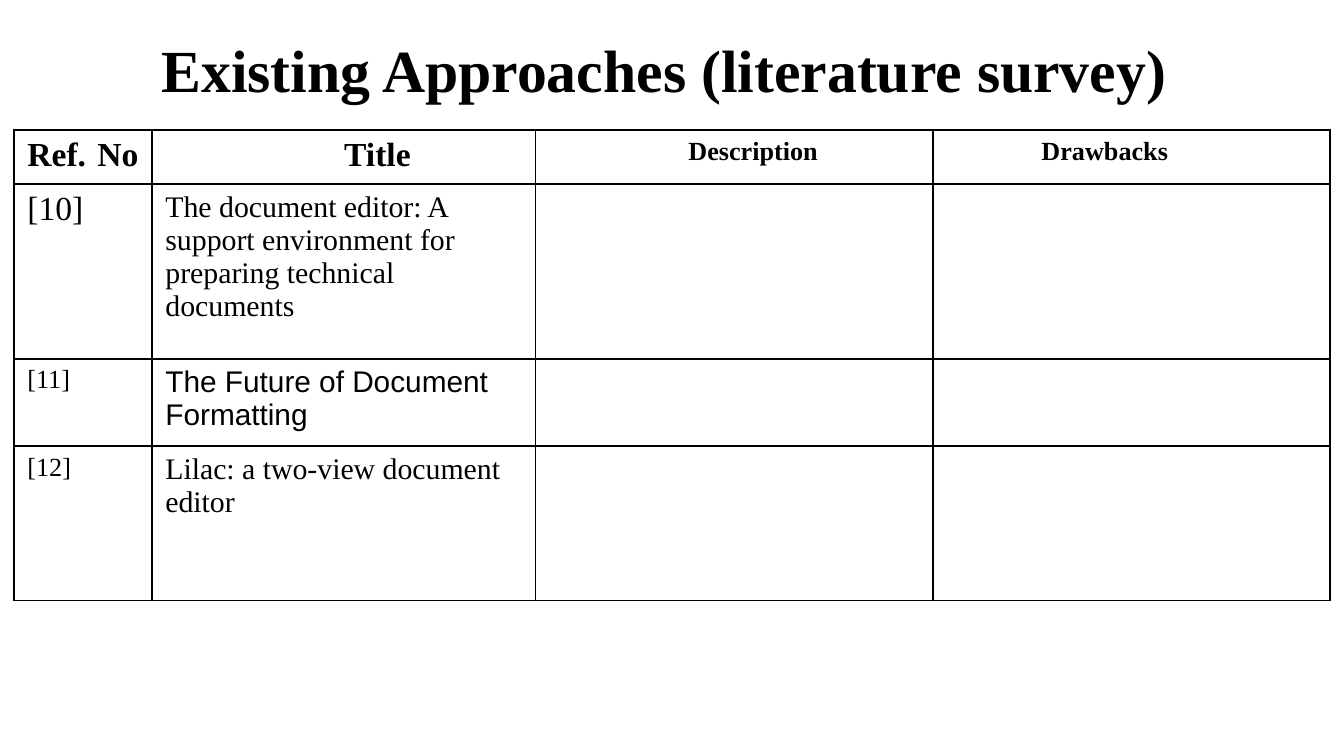
import pptx
import pptx.dml.color
import pptx.enum.text
import pptx.oxml
import pptx.oxml.ns
import pptx.util

ALIGN = pptx.enum.text.PP_ALIGN
ANCHOR = pptx.enum.text.MSO_ANCHOR


def color(value):
    return pptx.dml.color.RGBColor.from_string(value)


def write(frame, text, size=16, font="Times New Roman", bold=False,
          align=ALIGN.LEFT, ink="000000"):
    para = frame.paragraphs[0]
    para.alignment = align
    span = para.add_run()
    span.text = text
    span.font.size = pptx.util.Pt(size)
    span.font.name = font
    span.font.bold = bold
    span.font.color.rgb = color(ink)


class SurveySlide:
    ink = "000000"
    margin = 0.1
    columns = 100

    def __init__(self, deck):
        self.unit = deck.slide_width / self.columns
        self.page = deck.slides.add_slide(deck.slide_layouts[6])

    def span(self, units):
        return round(units * self.unit)

    def title(self, text, *place):
        box = self.page.shapes.add_textbox(*map(self.span, place))
        frame = box.text_frame
        frame.word_wrap = True
        frame.vertical_anchor = ANCHOR.MIDDLE
        frame.margin_top = pptx.util.Inches(self.margin)
        frame.margin_bottom = pptx.util.Inches(self.margin + 0.07)
        write(frame, text, size=32, bold=True, align=ALIGN.CENTER, ink=self.ink)

    def border(self, cell):
        properties = cell._tc.get_or_add_tcPr()
        for side in ("lnL", "lnR", "lnT", "lnB"):
            properties.append(pptx.oxml.parse_xml(
                f'<a:{side} {pptx.oxml.ns.nsdecls("a")} w="12700"><a:solidFill>'
                f'<a:srgbClr val="{self.ink}"/></a:solidFill></a:{side}>'))

    def table(self, rows, widths, heights, left, top):
        place = map(self.span, (left, top, sum(widths), sum(heights)))
        grid = self.page.shapes.add_table(len(rows), len(widths), *place).table
        grid.first_row = grid.horz_banding = False
        for column, width in zip(grid.columns, widths):
            column.width = self.span(width)
        for row, height, entries in zip(grid.rows, heights, rows):
            row.height = self.span(height)
            for cell in row.cells:
                self.border(cell)
                cell.fill.background()
            for cell, entry in zip(row.cells, entries):
                self.fill_cell(cell, **entry)

    def fill_cell(self, cell, text, before=0, after=0, **style):
        cell.margin_left = pptx.util.Inches(self.margin + before)
        cell.margin_right = pptx.util.Inches(self.margin + after)
        write(cell.text_frame, text, ink=self.ink, **style)


def main():
    deck = pptx.Presentation()
    deck.slide_width = pptx.util.Inches(10)
    deck.slide_height = deck.slide_width * 9 // 16
    survey = SurveySlide(deck)
    survey.title("Existing Approaches (literature survey) ", 0, 1.4, 100, 8.1)

    heading = {"bold": True, "align": ALIGN.CENTER}
    rows = [
        [dict(text="Ref. No ", size=18, bold=True, align=ALIGN.JUSTIFY),
         dict(heading, text="Title", size=18, before=0.5),
         dict(heading, text="Description", size=14, before=0.28),
         dict(heading, text="Drawbacks", size=14, after=0.4)],
        [dict(text="[10]", size=18),
         dict(text="The document editor: A support environment for "
                   "preparing technical documents")],
        [dict(text="[11]", size=14),
         dict(text="The Future of Document Formatting", font="Arial")],
        [dict(text="[12]", size=14),
         dict(text="Lilac: a two-view document editor")],
    ]
    survey.table(rows, [10.27, 28.55, 29.58, 29.54], [4, 13, 6.5, 11.5],
                 1.04, 9.69)
    deck.save("out.pptx")


if __name__ == "__main__":
    main()
